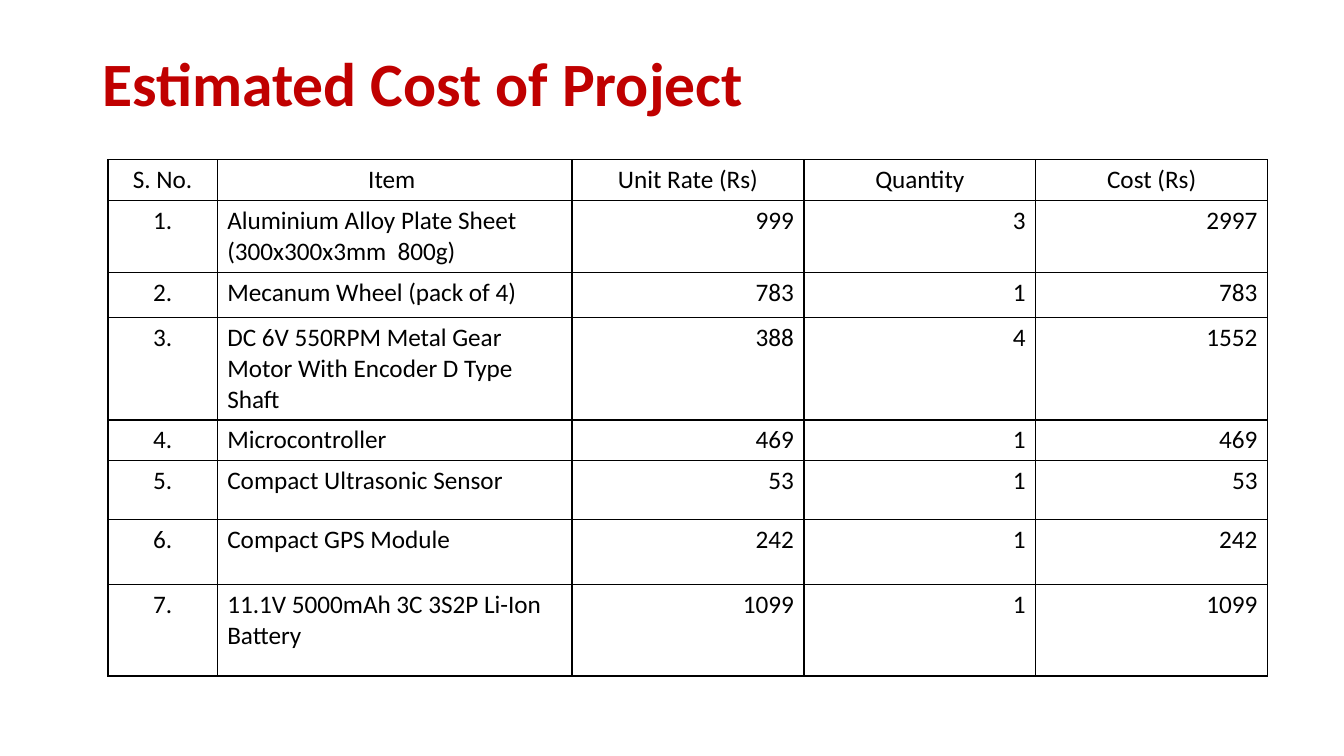
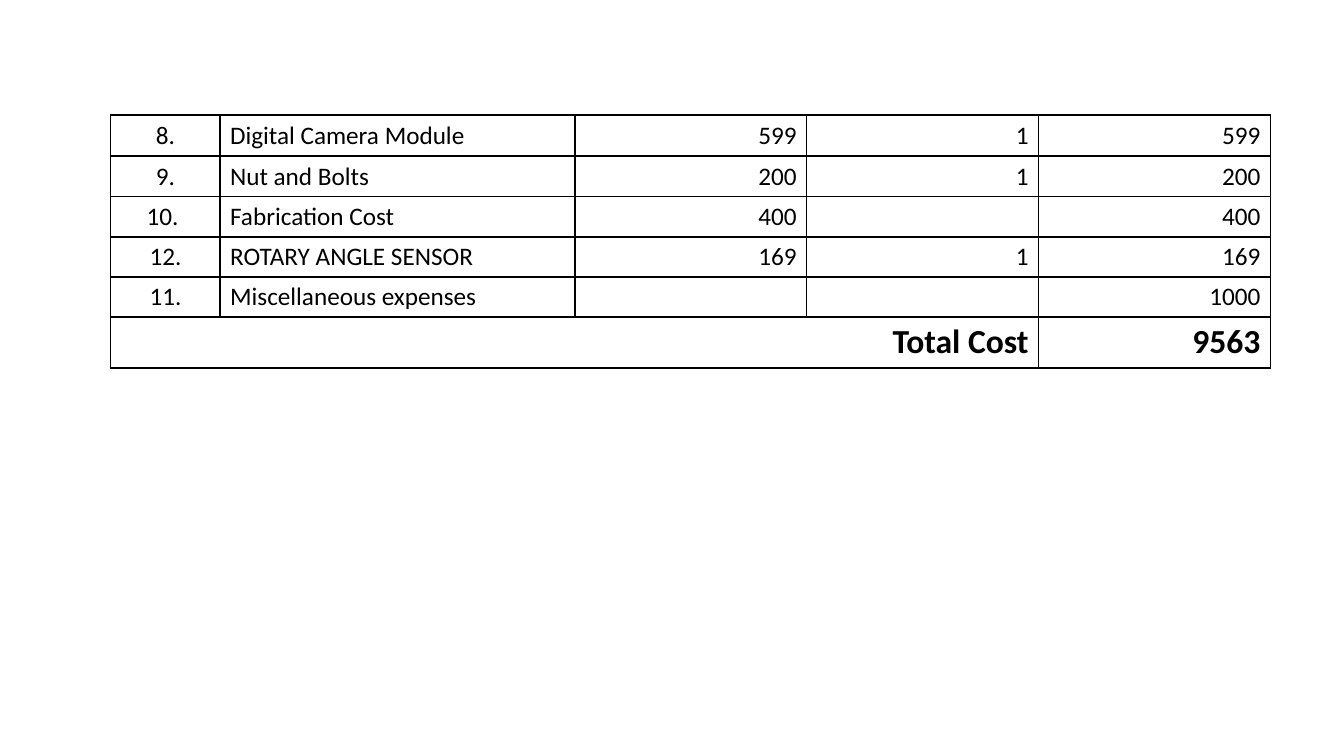
from lxml import etree
from pptx import Presentation
from pptx import util as u
from pptx.dml.color import RGBColor
from pptx.enum import text
from pptx.oxml.ns import qn

Pt = u.Pt
LEFT, CENTER, RIGHT = text.PP_ALIGN.LEFT, text.PP_ALIGN.CENTER, text.PP_ALIGN.RIGHT
COLS = [78, 253.5, 165.6, 165.6, 165.6]
ALIGNS = [CENTER, LEFT, RIGHT, RIGHT, RIGHT]
ROW_H = 29.2


def rgb(value):
    """Return the colour for a hex string."""
    return RGBColor.from_string(value)


def write(tf, content, size=18, color="000000", bold=False, align=LEFT, spacing=None):
    """Fill a text frame, one paragraph per line of the content."""
    for i, line in enumerate(content.split("\n")):
        p = tf.paragraphs[0] if i == 0 else tf.add_paragraph()
        p.alignment = align
        if spacing:
            p.line_spacing = spacing
        if line:
            r = p.add_run()
            r.text = line
            r.font.name = "Calibri"
            r.font.size = Pt(size)
            r.font.bold = bold
            r.font.color.rgb = rgb(color)


class Deck:
    """Holds the shared style and the current slide."""

    TITLE_COLOR = "C00000"
    BORDER = "000000"
    BORDER_W = 1

    def __init__(self):
        """Start a widescreen presentation."""
        self.prs = Presentation()
        self.prs.slide_width, self.prs.slide_height = Pt(960), Pt(540)
        self.s = None

    def slide(self, title=None):
        """Add a slide, with a title if one is given."""
        self.s = self.prs.slides.add_slide(self.prs.slide_layouts[5 if title else 6])
        if title:
            sp = self.s.shapes.title
            sp.left, sp.top, sp.width, sp.height = Pt(66), Pt(9.4), Pt(828), Pt(104.4)
            tf = sp.text_frame
            tf.word_wrap = True
            tf.vertical_anchor = text.MSO_ANCHOR.MIDDLE
            write(tf, title, size=44, color=self.TITLE_COLOR, bold=True, spacing=0.9)

    def border(self, cell):
        """Draw all four sides of a cell."""
        pr = cell._tc.get_or_add_tcPr()
        for side in ("lnL", "lnR", "lnT", "lnB"):
            ln = etree.SubElement(pr, qn("a:" + side), w=str(Pt(self.BORDER_W)))
            fill = etree.SubElement(ln, qn("a:solidFill"))
            etree.SubElement(fill, qn("a:srgbClr"), val=self.BORDER)

    def table(self, left, top, rows, heights, cols=COLS, aligns=ALIGNS, header=False, **fmt):
        """Add a bordered table without fill."""
        frame = self.s.shapes.add_table(len(rows), len(cols), Pt(left), Pt(top),
                                        Pt(sum(cols)), Pt(sum(heights)))
        tbl = frame.table
        tbl.first_row = tbl.horz_banding = False
        for col, width in zip(tbl.columns, cols):
            col.width = Pt(width)
        for i, (row, height) in enumerate(zip(rows, heights)):
            tbl.rows[i].height = Pt(height)
            for j, content in enumerate(row):
                cell = tbl.cell(i, j)
                self.border(cell)
                cell.fill.background()
                align = CENTER if header and i == 0 else aligns[j]
                write(cell.text_frame, content, align=align, **fmt)


def main():
    """Build the cost slides."""
    deck = Deck()
    deck.slide("Estimated Cost of Project")
    deck.table(77.2, 114, [
        ("S. No.", "Item ", "Unit Rate (Rs)", "Quantity", "Cost (Rs)"),
        ("1.", "Aluminium Alloy Plate Sheet\n(300x300x3mm  800g)", "999", "3", "2997"),
        ("2.", "Mecanum Wheel (pack of 4)", "783", "1", "783"),
        ("3.", "DC 6V 550RPM Metal Gear Motor With Encoder D Type Shaft", "388", "4", "1552"),
        ("4.", "Microcontroller", "469", "1", "469"),
        ("5.", "Compact Ultrasonic Sensor", "53", "1", "53"),
        ("6.", "Compact GPS Module", "242", "1", "242"),
        ("7.", "11.1V 5000mAh 3C 3S2P Li-Ion Battery", "1099", "1", "1099"),
    ], [ROW_H, 51.2, 32.4, 73.1, ROW_H, 42, 46.2, 65.6], header=True)

    deck.slide()
    left = 79.2
    deck.table(left, 82.2, [
        ("8.", "Digital Camera Module", "599", "1", "599"),
        ("9.", "Nut and Bolts", "200", "1", "200"),
        ("10. ", "Fabrication Cost", "400", "", "400"),
    ], [ROW_H] * 3)
    deck.table(left, 169, [("12.", "ROTARY ANGLE SENSOR", "169", "1", "169")], [ROW_H])
    deck.table(left, 197.3, [("11.", "Miscellaneous expenses", "", "", "1000")], [ROW_H])
    deck.table(left, 226.3, [("Total Cost", "9563")], [36.5],
               cols=[sum(COLS[:4]), COLS[4]], aligns=[RIGHT, RIGHT], size=24, bold=True)
    deck.prs.save("out.pptx")


if __name__ == "__main__":
    main()
